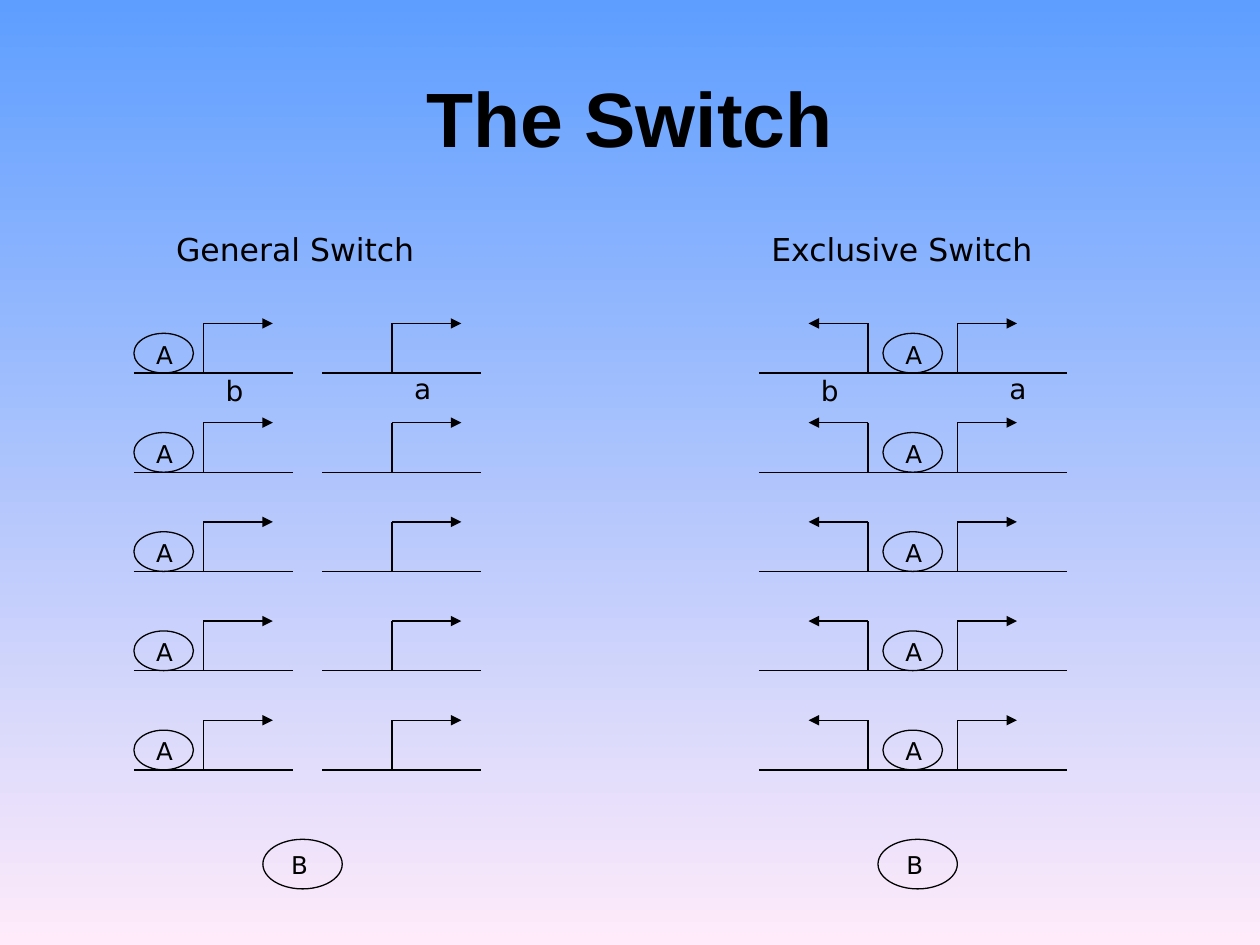
from pptx import Presentation
from pptx.dml.color import RGBColor
from pptx.enum.shapes import MSO_CONNECTOR, MSO_SHAPE
from pptx.enum.text import MSO_ANCHOR, MSO_AUTO_SIZE, PP_ALIGN
from pptx.oxml.ns import qn
from pptx.util import Inches, Mm, Pt
from lxml import etree

STRAIGHT = MSO_CONNECTOR.STRAIGHT
OVAL = MSO_SHAPE.OVAL
TOP, MIDDLE = MSO_ANCHOR.TOP, MSO_ANCHOR.MIDDLE
LEFT, CENTER, RIGHT = PP_ALIGN.LEFT, PP_ALIGN.CENTER, PP_ALIGN.RIGHT
FIT_SHAPE = MSO_AUTO_SIZE.SHAPE_TO_FIT_TEXT

GENE_BASES = [37.6 + 10 * row for row in range(5)]
STEM_HEIGHT = 5


def color(hex_string):
    return RGBColor.from_string(hex_string)


def cells(count):
    return Mm(2 * count)


class SwitchSlide:
    ink = "000000"
    sky = "5E9EFF"
    blush = "FFEBFA"
    title_font = "Arial"
    body_font = "DejaVu Sans"
    line_width = Pt(0.75)

    def __init__(self, page):
        self.page = page

    def background(self):
        fill = self.page.background.fill
        fill.gradient()
        fill.gradient_angle = 270
        for stop, shade in zip(fill.gradient_stops, (self.sky, self.blush)):
            stop.color.rgb = color(shade)

    def text(self, words, left, top, width, height, size, align=RIGHT):
        box = self.page.shapes.add_textbox(
            cells(left), cells(top), cells(width), cells(height))
        frame = box.text_frame
        frame.text = words
        frame.word_wrap = True
        frame.auto_size = FIT_SHAPE
        frame.vertical_anchor = TOP
        para = frame.paragraphs[0]
        para.alignment = align
        font = para.runs[0].font
        font.name = self.body_font
        font.size = Pt(size)
        font.color.rgb = color(self.ink)
        return box

    def title(self, words):
        box = self.text(words, 6.35, 3.81, 114.3, 15.88, 44, CENTER)
        frame = box.text_frame
        frame.auto_size = MSO_AUTO_SIZE.NONE
        frame.vertical_anchor = MIDDLE
        font = frame.paragraphs[0].runs[0].font
        font.name = self.title_font
        font.bold = True

    def line(self, start_x, start_y, end_x, end_y, arrow=False):
        connector = self.page.shapes.add_connector(
            STRAIGHT, cells(start_x), cells(start_y), cells(end_x), cells(end_y))
        connector.line.color.rgb = color(self.ink)
        connector.line.width = self.line_width
        properties = connector._element.spPr
        if arrow:
            outline = connector.line._get_or_add_ln()
            etree.SubElement(outline, qn("a:tailEnd"), type="triangle")
        etree.SubElement(properties, qn("a:effectLst"))

    def oval(self, left, top, width, height):
        shape = self.page.shapes.add_shape(
            OVAL, cells(left), cells(top), cells(width), cells(height))
        shape.shadow.inherit = False
        shape.fill.background()
        shape.line.color.rgb = color(self.ink)
        shape.line.width = self.line_width

    def promoter(self, stem, base, reach):
        top = base - STEM_HEIGHT
        self.line(stem, top, stem, base)
        self.line(stem, top, stem + reach, top, arrow=True)

    def activator(self, left, base):
        self.oval(left, base - 4, 6, 4)
        self.text("A", left + 1, base - 4, 4, 4.3, 14)

    def inducer(self, left):
        self.oval(left, 84.6, 8, 5)
        self.text("B", left + 0.8, 85.1, 5, 4.3, 14)

    def heading(self, words, left):
        self.text(words, left, 22.6, 40, 5.1, 18, LEFT)

    def gene_labels(self, left):
        self.text("b", left, 37, 4, 4.7, 16)
        self.text("a", left + 19, 36.8, 4, 4.7, 16)

    def general_switch(self):
        for base in GENE_BASES:
            for left in (13.5, 32.5):
                self.line(left, base, left + 16, base)
                self.promoter(left + 7, base, 7)
            self.activator(13.5, base)
        self.heading("General Switch", 16.5)
        self.inducer(26.5)
        self.gene_labels(21.5)

    def exclusive_switch(self):
        for base in GENE_BASES:
            self.line(76.5, base, 107.5, base)
            self.promoter(96.5, base, 6)
            self.promoter(87.5, base, -6)
            self.activator(89, base)
        self.heading("Exclusive Switch", 76.5)
        self.inducer(88.5)
        self.gene_labels(81.5)


def main():
    deck = Presentation()
    deck.slide_width = Inches(10)
    deck.slide_height = Inches(7.5)
    slide = SwitchSlide(deck.slides.add_slide(deck.slide_layouts[6]))
    slide.background()
    slide.title("The Switch")
    slide.general_switch()
    slide.exclusive_switch()
    deck.save("out.pptx")


if __name__ == "__main__":
    main()
